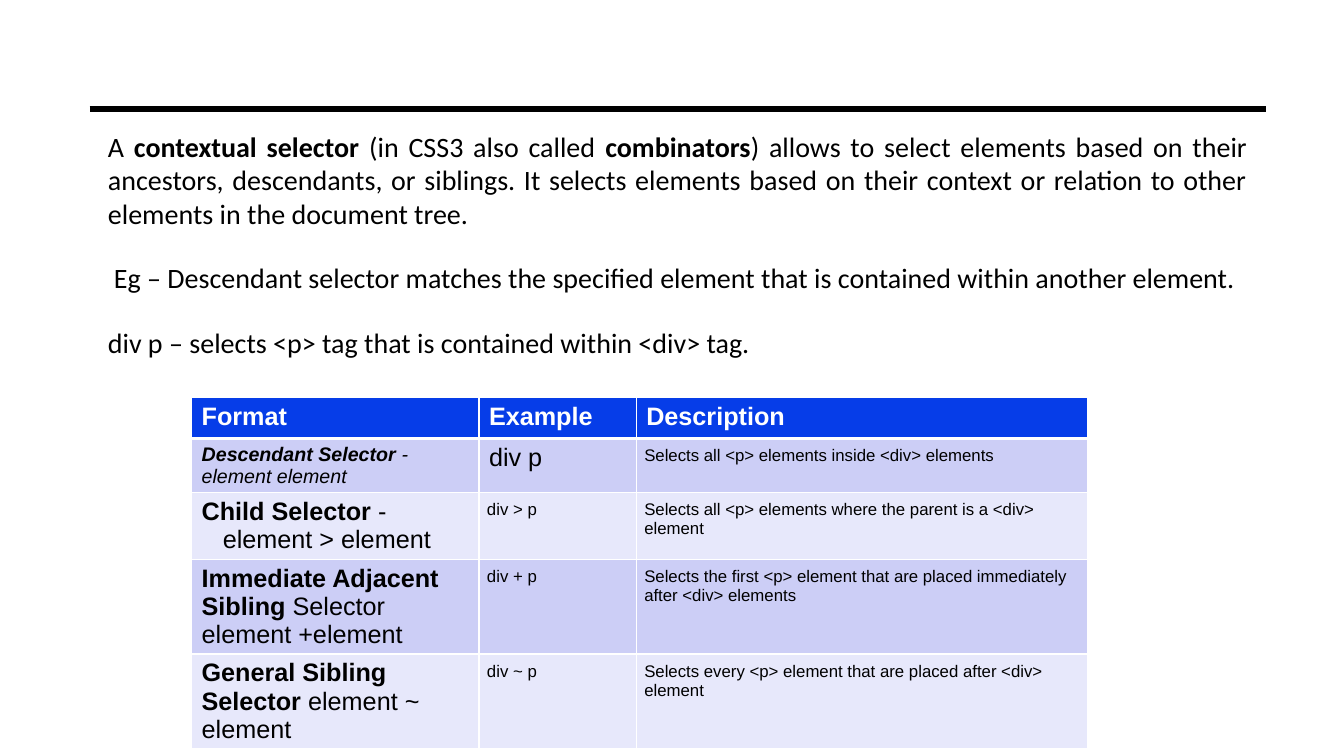
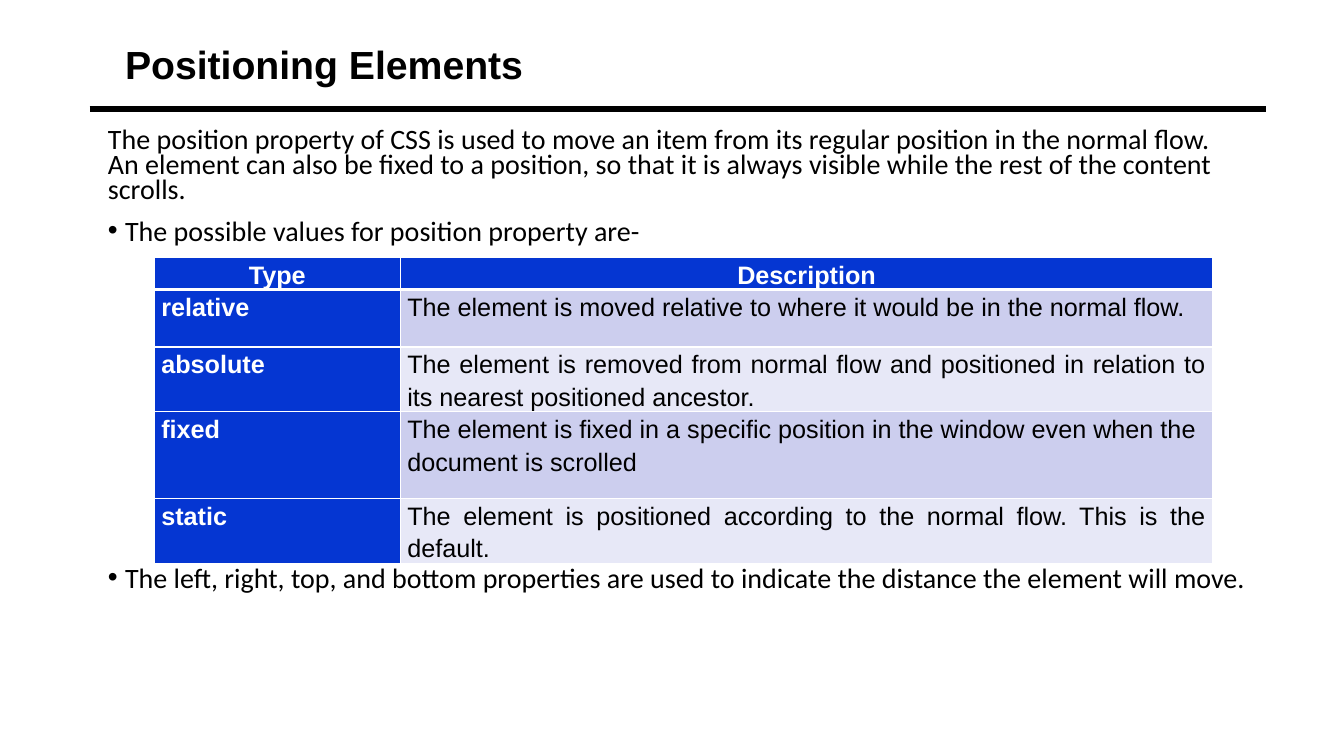
from dataclasses import dataclass
from typing import Optional

from lxml.etree import SubElement
from pptx import Presentation
from pptx.dml.color import RGBColor
from pptx.enum.shapes import MSO_CONNECTOR
from pptx.enum.text import MSO_ANCHOR, MSO_AUTO_SIZE, PP_ALIGN
from pptx.oxml.ns import qn
from pptx.util import Emu, Pt

EMU_PER_PX = 9144
COLORS = {
    "text": "000000",
    "light": "FFFFFF",
    "selector_header": "063DE8",
    "selector_dark": "CCCEF6",
    "selector_pale": "E7E8FB",
    "position_header": "0536D2",
    "position_dark": "CCCEEE",
    "position_pale": "E7E8F7",
}
TEXT_INSETS = (7, 3)


@dataclass(frozen=True)
class Run:
    text: str
    bold: bool = False
    italic: bool = False


@dataclass(frozen=True)
class Block:
    runs: tuple[Run, ...]
    align: PP_ALIGN = PP_ALIGN.LEFT
    line_spacing: float = 1.0
    before: int = 0
    after: int = 0
    margin: int = 0
    indent: int = 0
    bullet: Optional[str] = None


@dataclass(frozen=True)
class Style:
    font: str
    size: int
    color: str = "text"


@dataclass(frozen=True)
class Cell:
    blocks: tuple[Block, ...]
    fill: str
    size: int = 18
    color: str = "text"
    insets: tuple[int, int] = (10, 5)


@dataclass(frozen=True)
class Box:
    left: int
    top: int
    width: int
    height: int


def px(value: int) -> Emu:
    return Emu(value * EMU_PER_PX)


def rgb(name: str) -> RGBColor:
    return RGBColor.from_string(COLORS[name])


def write_blocks(text_frame, blocks: tuple[Block, ...], style: Style) -> None:
    for index, block in enumerate(blocks):
        paragraph = text_frame.add_paragraph() if index else text_frame.paragraphs[0]
        paragraph.alignment = block.align
        paragraph.line_spacing = block.line_spacing
        paragraph.space_before = Pt(block.before)
        paragraph.space_after = Pt(block.after)
        properties = paragraph._p.get_or_add_pPr()
        properties.set("marL", str(px(block.margin)))
        properties.set("indent", str(px(block.indent)))
        if block.bullet:
            SubElement(properties, qn("a:buFont"), typeface="Arial")
            SubElement(properties, qn("a:buChar"), char=block.bullet)
        else:
            SubElement(properties, qn("a:buNone"))
        for part in block.runs:
            run = paragraph.add_run()
            run.text = part.text
            run.font.name = style.font
            run.font.size = Pt(style.size)
            run.font.bold = part.bold
            run.font.italic = part.italic
            run.font.color.rgb = rgb(style.color)


def fill_placeholder(shape, box: Box, blocks: tuple[Block, ...], style: Style,
                     wrap: bool = True) -> None:
    shape.left, shape.top = px(box.left), px(box.top)
    shape.width, shape.height = px(box.width), px(box.height)
    text_frame = shape.text_frame
    text_frame.auto_size = MSO_AUTO_SIZE.NONE
    text_frame.word_wrap = wrap
    text_frame.margin_left = text_frame.margin_right = px(TEXT_INSETS[0])
    text_frame.margin_top = text_frame.margin_bottom = px(TEXT_INSETS[1])
    write_blocks(text_frame, blocks, style)


def fill_title(slide, text: str) -> None:
    shape = slide.shapes.title
    shape.text_frame.vertical_anchor = MSO_ANCHOR.MIDDLE
    fill_placeholder(shape, Box(117, 43, 414, 47),
                     (Block((Run(text, bold=True),), line_spacing=0.87),),
                     Style("Arial", 28), wrap=False)


def fill_body(slide, height: int, blocks: tuple[Block, ...]) -> None:
    fill_placeholder(slide.placeholders[1], Box(100, 125, 1144, height),
                     blocks, Style("Calibri", 20))


def add_borders(cell, top: int, bottom: int) -> None:
    properties = cell._tc.get_or_add_tcPr()
    for side, width in (("L", 1), ("R", 1), ("T", top), ("B", bottom)):
        line = SubElement(properties, qn(f"a:ln{side}"), w=str(Pt(width)))
        fill = SubElement(line, qn("a:solidFill"))
        SubElement(fill, qn("a:srgbClr"), val=COLORS["light"])


def draw_table(slide, left: int, top: int, columns: tuple[int, ...],
               heights: tuple[int, ...], rows: list[tuple[Cell, ...]]) -> None:
    table = slide.shapes.add_table(len(rows), len(columns), px(left), px(top),
                                   px(sum(columns)), px(sum(heights))).table
    table.first_row = table.horz_banding = False
    for column, width in zip(table.columns, columns):
        column.width = px(width)
    for row_index, (height, row) in enumerate(zip(heights, rows)):
        table.rows[row_index].height = px(height)
        for column_index, content in enumerate(row):
            cell = table.cell(row_index, column_index)
            add_borders(cell, 3 if row_index == 1 else 1, 3 if row_index == 0 else 1)
            cell.fill.solid()
            cell.fill.fore_color.rgb = rgb(content.fill)
            cell.margin_left = cell.margin_right = px(content.insets[0])
            cell.margin_top = cell.margin_bottom = px(content.insets[1])
            write_blocks(cell.text_frame, content.blocks,
                         Style("Arial", content.size, content.color))


def add_master_rule(presentation, slide) -> None:
    rule = slide.shapes.add_connector(MSO_CONNECTOR.STRAIGHT,
                                      px(89), px(108), px(1256), px(108))
    rule.line.color.rgb = rgb("text")
    rule.line.width = Pt(4.5)
    SubElement(rule.element.spPr, qn("a:effectLst"))
    presentation.slide_master.shapes.element.append(rule.element)


def build_selectors(slide) -> None:
    title = slide.shapes.title.element
    title.getparent().remove(title)

    def body_block(*runs: Run, indent: int = 0) -> Block:
        return Block(runs, PP_ALIGN.JUSTIFY, before=12, after=10, indent=indent)

    fill_body(slide, 246, (
        body_block(
            Run("A "), Run("contextual selector ", bold=True),
            Run("(in CSS3 also called "), Run("combinators", bold=True),
            Run(") allows to select elements based on their ancestors, descendants, "
                "or siblings. It selects elements based on their context or relation "
                "to other elements in the document tree.")),
        body_block(Run("Eg – Descendant selector matches the specified element "
                       "that is contained within another element."), indent=6),
        body_block(Run("div p – selects <p> tag that is contained within <div> tag.")),
    ))
    formats = (
        (Block((Run("Descendant Selector", True, True),
                Run(" - element element", italic=True))),),
        (Block((Run("Child Selector", True), Run(" -"))),
         Block((Run("element > element"),), margin=21)),
        (Block((Run("Immediate Adjacent Sibling", True), Run(" Selector"))),
         Block((Run("element +element"),))),
        (Block((Run("General Sibling Selector ", True), Run("element ~ element"))),),
    )
    examples = ("div p", "div > p", "div + p", "div ~ p")
    descriptions = (
        "Selects all <p> elements inside <div> elements",
        "Selects all <p> elements where the parent is a <div> element",
        "Selects the first <p> element that are placed immediately after <div> elements",
        "Selects every <p> element that are placed after <div> element",
    )
    rows = [tuple(Cell((Block((Run(name, True),)),), "selector_header", color="light")
                  for name in ("Format", "Example", "Description"))]
    for index, (blocks, example, description) in enumerate(
            zip(formats, examples, descriptions)):
        fill = ("selector_dark", "selector_pale")[index % 2]
        first = index == 0
        rows.append((
            Cell(blocks, fill, 14 if first else 18),
            Cell((Block((Run(example),)),), fill, 18 if first else 12,
                 insets=(10, 5) if first else (8, 8)),
            Cell((Block((Run(description),)),), fill, 12, insets=(8, 8)),
        ))
    draw_table(slide, 190, 394, (285, 156, 448), (41,) * len(rows), rows)


def build_positioning(slide) -> None:
    fill_title(slide, "Positioning Elements")

    def bullet_block(text: str, before: int) -> Block:
        return Block((Run(text),), line_spacing=0.75, before=before,
                     margin=17, indent=-17, bullet="•")

    fill_body(slide, 578, (
        Block((Run("The position property of CSS is used to move an item from its "
                   "regular position in the normal flow. An element can also be fixed "
                   "to a position, so that it is always visible while the rest of the "
                   "content scrolls."),), line_spacing=0.75, before=12),
        bullet_block("The possible values for position property are-", 12),
        bullet_block("The left, right, top, and bottom properties are used to indicate "
                     "the distance the element will move.", 230),
    ))

    def position_cell(texts: tuple[str, ...], fill: str, align: PP_ALIGN,
                      strong: bool) -> Cell:
        blocks = tuple(Block((Run(text, strong),), align, 1.15) for text in texts)
        return Cell(blocks, fill, color="light" if strong else "text", insets=(7, 0))

    entries = (
        ("relative", ("The element is moved relative to where it would be in the "
                      "normal flow.",)),
        ("absolute", ("The element is removed from normal flow and positioned in "
                      "relation to its nearest positioned ancestor.",)),
        ("fixed", ("The element is fixed in a specific position in the window even "
                   "when the", "document is scrolled")),
        ("static", ("The element is positioned according to the normal flow. This is "
                    "the default.",)),
    )
    rows = [tuple(position_cell((name,), "position_header", PP_ALIGN.CENTER, True)
                  for name in ("Type", "Description"))]
    for index, (name, texts) in enumerate(entries):
        fill = ("position_dark", "position_pale")[index % 2]
        rows.append((
            position_cell((name,), "position_header", PP_ALIGN.JUSTIFY, True),
            position_cell(texts, fill, PP_ALIGN.JUSTIFY, False),
        ))
    draw_table(slide, 153, 255, (244, 806), (29, 57, 57, 86, 57), rows)


def main() -> None:
    presentation = Presentation()
    presentation.slide_width, presentation.slide_height = px(1333), px(750)
    layout = presentation.slide_layouts[1]
    slides = [presentation.slides.add_slide(layout) for _ in range(2)]
    add_master_rule(presentation, slides[0])
    for build, slide in zip((build_selectors, build_positioning), slides):
        build(slide)
    presentation.save("out.pptx")


if __name__ == "__main__":
    main()
